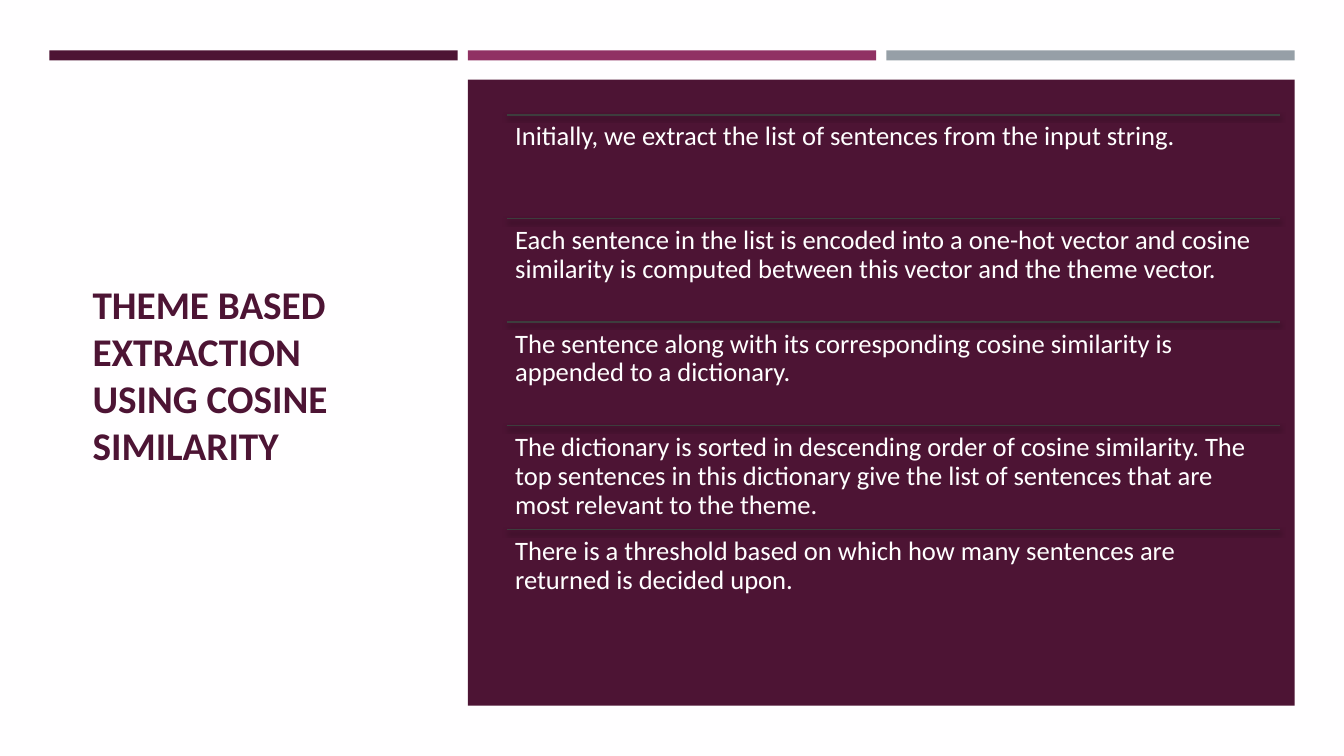
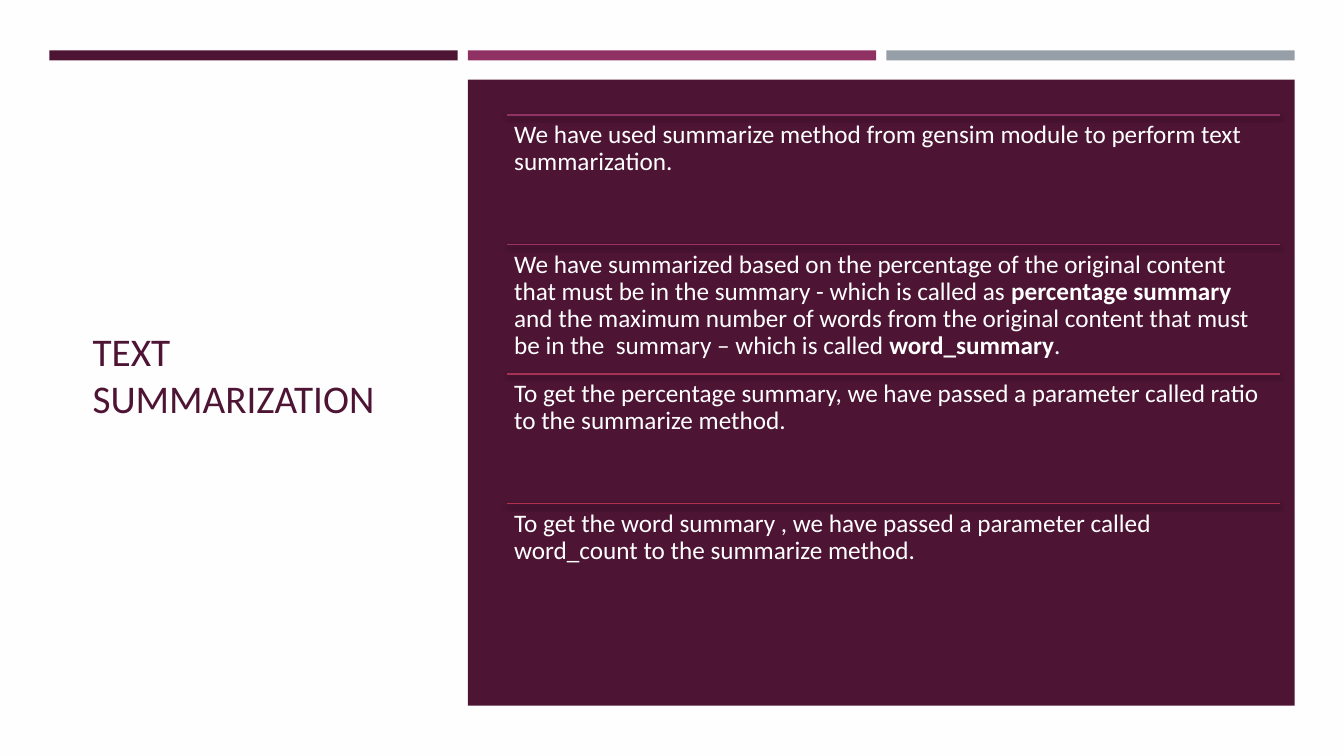
from dataclasses import dataclass

from lxml.etree import SubElement
from pptx import Presentation
from pptx.dml.color import RGBColor
from pptx.enum.shapes import MSO_CONNECTOR as CONNECTOR, MSO_SHAPE as SHAPE
from pptx.enum.text import MSO_ANCHOR as ANCHOR
from pptx.oxml.ns import qn
from pptx.util import Inches, Pt


@dataclass(frozen=True)
class Theme:
    font: str = "Calibri"
    paper: str = "FFFEFF"
    plum: str = "4D1434"
    on_plum: str = "FFFFFF"
    bands: tuple = ("4D1434", "903163", "969FA7")
    gray_rules: tuple = ("3D3D3D",) * 5
    warm_rules: tuple = ("903163", "9B325D", "A63256", "B2324B")
    shadow: str = "000000"
    title_size: int = 28
    rule_width: int = 1


@dataclass(frozen=True)
class Box:
    left: float
    top: float
    width: float
    height: float

    def emu(self):
        return [Inches(v) for v in (self.left, self.top, self.width, self.height)]

    def rows(self, count):
        step = self.height / count
        return [Box(self.left, self.top + i * step, self.width, step)
                for i in range(count)]

    def columns(self, count, gap):
        width = (self.width - gap * (count - 1)) / count
        return [Box(self.left + i * (width + gap), self.top, width, self.height)
                for i in range(count)]


THEME = Theme()
BANDS = Box(0.49, 0.5, 12.35, 0.1)
TITLE = Box(0.82, 1.14, 3.34, 5.15)
PANEL = Box(4.64, 0.79, 8.2, 6.21)
# Margins of the list inside the panel: left, top, right, bottom
LIST_MARGINS = (0.39, 0.35, 0.14, 0.72)


def rgb(value):
    return RGBColor.from_string(value)


def add_block(slide, box, color):
    block = slide.shapes.add_shape(SHAPE.RECTANGLE, *box.emu())
    block.shadow.inherit = False
    block.fill.solid()
    block.fill.fore_color.rgb = rgb(color)
    block.line.fill.background()


def add_text(slide, box, parts, size, color, inset, anchor=ANCHOR.TOP, spacing=1.0):
    """Place one paragraph made of (text, bold) parts."""
    frame = slide.shapes.add_textbox(*box.emu()).text_frame
    frame.word_wrap = True
    frame.vertical_anchor = anchor
    frame.margin_left = frame.margin_right = Inches(inset)
    frame.margin_top = frame.margin_bottom = Inches(inset)
    paragraph = frame.paragraphs[0]
    paragraph.line_spacing = spacing
    for text, bold in parts:
        run = paragraph.add_run()
        run.text = text
        run.font.name = THEME.font
        run.font.size = Pt(size)
        run.font.bold = bold
        run.font.color.rgb = rgb(color)


def add_rule(slide, box, color):
    """Draw a softly shadowed line along the top of the box."""
    left, top, width, _ = box.emu()
    rule = slide.shapes.add_connector(CONNECTOR.STRAIGHT, left, top, left + width, top)
    rule.line.color.rgb = rgb(color)
    rule.line.width = Pt(THEME.rule_width)
    effects = SubElement(rule.element.spPr, qn("a:effectLst"))
    shadow = SubElement(effects, qn("a:outerShdw"), blurRad=str(Pt(3)),
                        dist=str(Pt(2)), dir="5400000", rotWithShape="0")
    shade = SubElement(shadow, qn("a:srgbClr"), val=THEME.shadow)
    SubElement(shade, qn("a:alpha"), val="55000")


def add_bands(slide, box):
    for band, color in zip(box.columns(len(THEME.bands), 0.1), THEME.bands):
        add_block(slide, band, color)


def add_panel(slide, box, points, rules, size, inset):
    add_block(slide, box, THEME.plum)
    left, top, right, bottom = LIST_MARGINS
    area = Box(box.left + left, box.top + top,
               box.width - left - right, box.height - top - bottom)
    for row, point, color in zip(area.rows(len(points)), points, rules):
        add_rule(slide, row, color)
        add_text(slide, row, point, size, THEME.on_plum, inset, spacing=0.9)


def add_list_slide(deck, title, title_bold, points, rules, size, inset):
    slide = deck.slides.add_slide(deck.slide_layouts[6])
    slide.background.fill.solid()
    slide.background.fill.fore_color.rgb = rgb(THEME.paper)
    add_text(slide, TITLE, [(title, title_bold)], THEME.title_size, THEME.plum,
             0.1, ANCHOR.MIDDLE)
    add_bands(slide, BANDS)
    add_panel(slide, PANEL, points, rules, size, inset)


# Each point is a list of (text, bold) parts
EXTRACTION_POINTS = [
    [("Initially, we extract the list of sentences from the input string.", False)],
    [("Each sentence in the list is encoded into a one-hot vector and cosine "
      "similarity is computed between this vector and the theme vector.", False)],
    [("The sentence along with its corresponding cosine similarity is appended "
      "to a dictionary.", False)],
    [("The dictionary is sorted in descending order of cosine similarity. The "
      "top sentences in this dictionary give the list of sentences that are "
      "most relevant to the theme.", False)],
    [("There is a threshold based on which how many sentences are returned is "
      "decided upon.", False)],
]
SUMMARY_POINTS = [
    [("We have used summarize method from gensim module to perform text "
      "summarization.", False)],
    [("We have summarized based on the percentage of the original content that "
      "must be in the summary - which is called as ", False),
     ("percentage summary", True),
     (" and the maximum number of words from the original content that must be "
      "in the  summary – which is called ", False),
     ("word_summary", True),
     (".", False)],
    [("To get the percentage summary, we have passed a parameter called ratio "
      "to the summarize method.", False)],
    [("To get the word summary , we have passed a parameter called "
      "word_count to the summarize method.", False)],
]


def main():
    deck = Presentation()
    deck.slide_width, deck.slide_height = Inches(13.33), Inches(7.5)
    add_list_slide(deck, "THEME BASED EXTRACTION USING COSINE SIMILARITY", True,
                   EXTRACTION_POINTS, THEME.gray_rules, size=19, inset=0.08)
    add_list_slide(deck, "TEXT SUMMARIZATION", False,
                   SUMMARY_POINTS, THEME.warm_rules, size=18, inset=0.07)
    deck.save("out.pptx")


if __name__ == "__main__":
    main()
